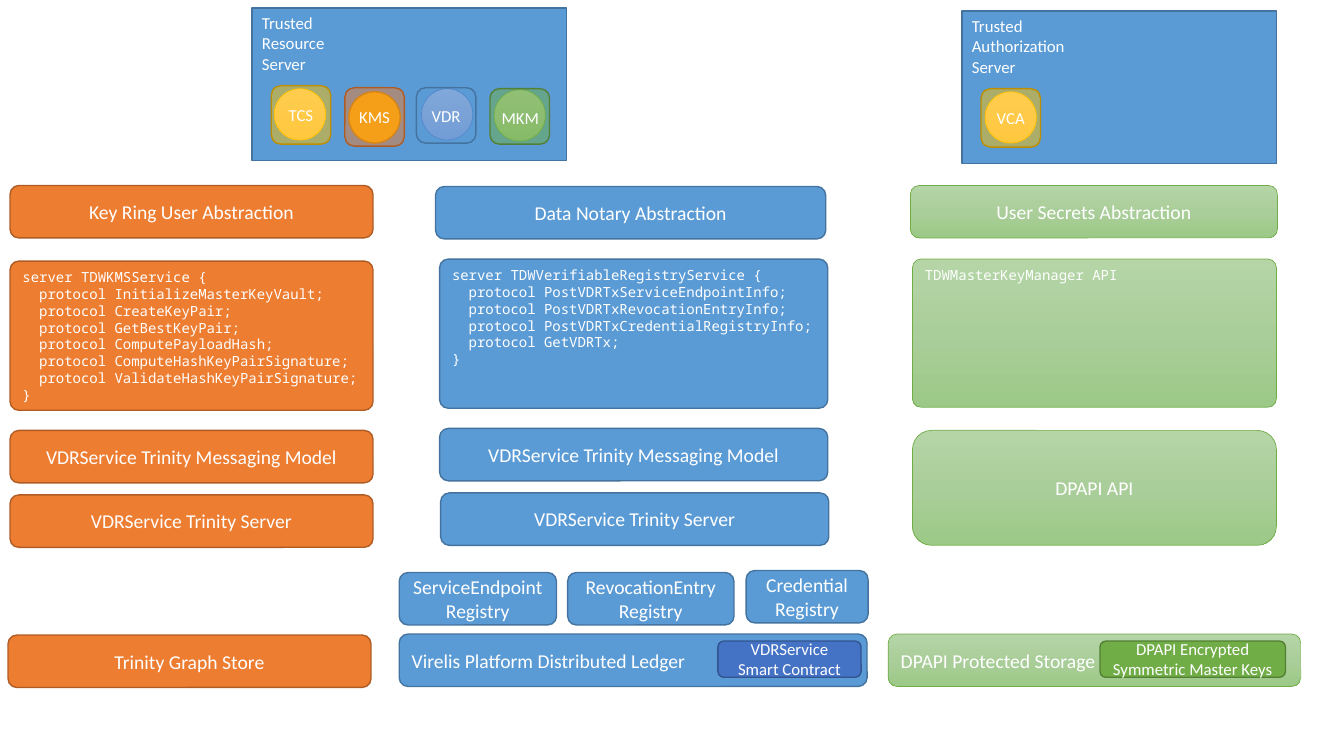
from copy import deepcopy

from lxml.etree import SubElement
from pptx import Presentation
from pptx.dml.color import RGBColor
from pptx.enum.shapes import MSO_SHAPE
from pptx.enum.text import MSO_ANCHOR, MSO_AUTO_SIZE, PP_ALIGN
from pptx.oxml.ns import qn
from pptx.util import Inches, Pt

COLORS = {
    "white": "FFFFFF",
    "blue": "5B9BD5", "blue_line": "43739E",
    "indigo": "4472C4", "indigo_line": "325491",
    "orange": "ED7D31", "orange_line": "AF5C24",
    "gold": "FFC000", "gold_line": "BD8E00",
    "green": "70AD47", "green_line": "538035",
}
GRADIENTS = {
    "gold": ("FFDB9E", "FFD590", "FFD07C"),
    "green": ("B5D5A7", "AACE9A", "9CC987"),
    "indigo": ("A8B7DF", "9AABD9", "889ED7"),
}


class ArchitectureSlide:
    label_font = "Calibri"
    code_font = "Noto Sans Mono"

    def __init__(self, slide):
        self.shapes = slide.shapes

    def outline(self, kind, at, color, gradient=False, alpha=None):
        shape = self.shapes.add_shape(kind, *map(Inches, at))
        shape.shadow.inherit = False
        if gradient:
            self.shade(shape, GRADIENTS[color])
            line_color, line_width = color, 0.5
        else:
            shape.fill.solid()
            shape.fill.fore_color.rgb = RGBColor.from_string(COLORS[color])
            line_color, line_width = color + "_line", 1
        if alpha:
            tint = shape.element.spPr.find(qn("a:solidFill"))[0]
            SubElement(tint, qn("a:alpha")).set("val", str(alpha * 1000))
        shape.line.color.rgb = RGBColor.from_string(COLORS[line_color])
        shape.line.width = Pt(line_width)
        return shape

    def shade(self, shape, shades):
        shape.fill.gradient()
        shape.fill.gradient_angle = 270
        first_stop = shape.element.spPr.find(".//" + qn("a:gs"))
        first_stop.addnext(deepcopy(first_stop))
        for stop, shade, position in zip(shape.fill.gradient_stops, shades, (0, 0.5, 1)):
            stop.color.rgb = RGBColor.from_string(shade)
            stop.position = position

    def add_lines(self, shape, lines, size, align=PP_ALIGN.CENTER,
                  anchor=MSO_ANCHOR.MIDDLE, font=label_font):
        frame = shape.text_frame
        frame.word_wrap = True
        frame.vertical_anchor = anchor
        for number, line in enumerate(lines):
            paragraph = frame.add_paragraph() if number else frame.paragraphs[0]
            paragraph.alignment = align
            run = paragraph.add_run()
            run.text = line
            run.font.size = Pt(size)
            run.font.name = font
            run.font.color.rgb = RGBColor.from_string(COLORS["white"])

    def server(self, at, lines):
        shape = self.outline(MSO_SHAPE.RECTANGLE, at, "blue")
        self.add_lines(shape, lines, 12, PP_ALIGN.LEFT, MSO_ANCHOR.TOP)

    def box(self, at, lines, color, size=14, gradient=False, align=PP_ALIGN.CENTER):
        shape = self.outline(MSO_SHAPE.ROUNDED_RECTANGLE, at, color, gradient)
        self.add_lines(shape, lines, size, align)

    def code(self, at, lines, color, gradient=False):
        shape = self.outline(MSO_SHAPE.ROUNDED_RECTANGLE, at, color, gradient)
        shape.adjustments[0] = 0.058
        self.add_lines(shape, lines, 10, PP_ALIGN.LEFT, MSO_ANCHOR.TOP, self.code_font)

    def service(self, circle_at, tile_at, circle_color, tile_color, name, gradient=True):
        self.outline(MSO_SHAPE.OVAL, (*circle_at, 0.51, 0.51), circle_color, gradient)
        tile = self.outline(MSO_SHAPE.ROUNDED_RECTANGLE, tile_at, tile_color, alpha=50)
        if name:
            self.add_lines(tile, [name], 12)

    def caption(self, at, text):
        caption = self.shapes.add_textbox(*map(Inches, at))
        self.add_lines(caption, [text], 12, anchor=MSO_ANCHOR.TOP)
        caption.text_frame.word_wrap = False
        caption.text_frame.auto_size = MSO_AUTO_SIZE.SHAPE_TO_FIT_TEXT


def build(page):
    page.server((2.5, 0.08, 3.12, 1.51), ["Trusted", "Resource", "Server"])
    page.server((9.54, 0.11, 3.12, 1.51), ["Trusted", "Authorization", "Server"])

    for circle_at, tile_at, circle_color, tile_color, name, gradient in (
        ((3.46, 0.91), (3.42, 0.87, 0.59, 0.58), "gold", "orange", "KMS", False),
        ((2.72, 0.88), (2.69, 0.85, 0.59, 0.58), "gold", "gold", "TCS", True),
        ((4.9, 0.89), (4.86, 0.88, 0.59, 0.55), "green", "green", None, True),
        ((4.18, 0.88), (4.13, 0.87, 0.59, 0.55), "indigo", "blue", "VDR", True),
        ((9.77, 0.91), (9.73, 0.88, 0.59, 0.58), "gold", "gold", "VCA", True),
    ):
        page.service(circle_at, tile_at, circle_color, tile_color, name, gradient)
    page.caption((4.87, 1.02, 0.58, 0.3), "MKM")

    for left, top, width, color, label in (
        (0.1, 1.84, 3.6, "orange", "Key Ring User Abstraction"),
        (0.1, 4.27, 3.6, "orange", "VDRService Trinity Messaging Model"),
        (0.1, 4.91, 3.6, "orange", "VDRService Trinity Server"),
        (0.08, 6.3, 3.6, "orange", "Trinity Graph Store"),
        (4.32, 1.85, 3.87, "blue", "Data Notary Abstraction"),
        (4.36, 4.25, 3.85, "blue", "VDRService Trinity Messaging Model"),
        (4.37, 4.89, 3.85, "blue", "VDRService Trinity Server"),
        (3.96, 5.68, 1.56, "blue", "ServiceEndpoint Registry"),
        (5.63, 5.68, 1.65, "blue", "RevocationEntry Registry"),
        (7.4, 5.66, 1.21, "blue", "Credential Registry"),
    ):
        page.box((left, top, width, 0.52), [label], color)

    page.box((9.03, 1.84, 3.64, 0.52), ["User Secrets Abstraction"], "green", gradient=True)
    page.box((9.05, 4.27, 3.61, 1.14), ["DPAPI API"], "green", gradient=True)

    page.box((3.96, 6.29, 4.64, 0.52), ["Virelis Platform Distributed Ledger"], "blue",
             align=PP_ALIGN.LEFT)
    page.box((7.12, 6.36, 1.42, 0.36), ["VDRService Smart Contract"], "indigo", size=12)
    page.box((8.81, 6.29, 4.09, 0.52), ["DPAPI Protected Storage"], "green",
             gradient=True, align=PP_ALIGN.LEFT)
    page.box((10.91, 6.36, 1.84, 0.36), ["DPAPI Encrypted", "Symmetric Master Keys"],
             "green", size=12)

    page.code((0.1, 2.59, 3.6, 1.48), [
        "server TDWKMSService {",
        "  protocol InitializeMasterKeyVault;",
        "  protocol CreateKeyPair;",
        "  protocol GetBestKeyPair;",
        "  protocol ComputePayloadHash;",
        "  protocol ComputeHashKeyPairSignature;",
        "  protocol ValidateHashKeyPairSignature;",
        "}",
    ], "orange")
    page.code((4.36, 2.57, 3.85, 1.48), [
        "server TDWVerifiableRegistryService {",
        "  protocol PostVDRTxServiceEndpointInfo;",
        "  protocol PostVDRTxRevocationEntryInfo;",
        "  protocol PostVDRTxCredentialRegistryInfo;",
        "  protocol GetVDRTx;",
        "}",
    ], "blue")
    page.code((9.05, 2.57, 3.61, 1.47), ["TDWMasterKeyManager API"], "green", gradient=True)


def main():
    deck = Presentation()
    deck.slide_width = Inches(13.33)
    deck.slide_height = Inches(7.5)
    build(ArchitectureSlide(deck.slides.add_slide(deck.slide_layouts[6])))
    deck.save("out.pptx")


if __name__ == "__main__":
    main()
